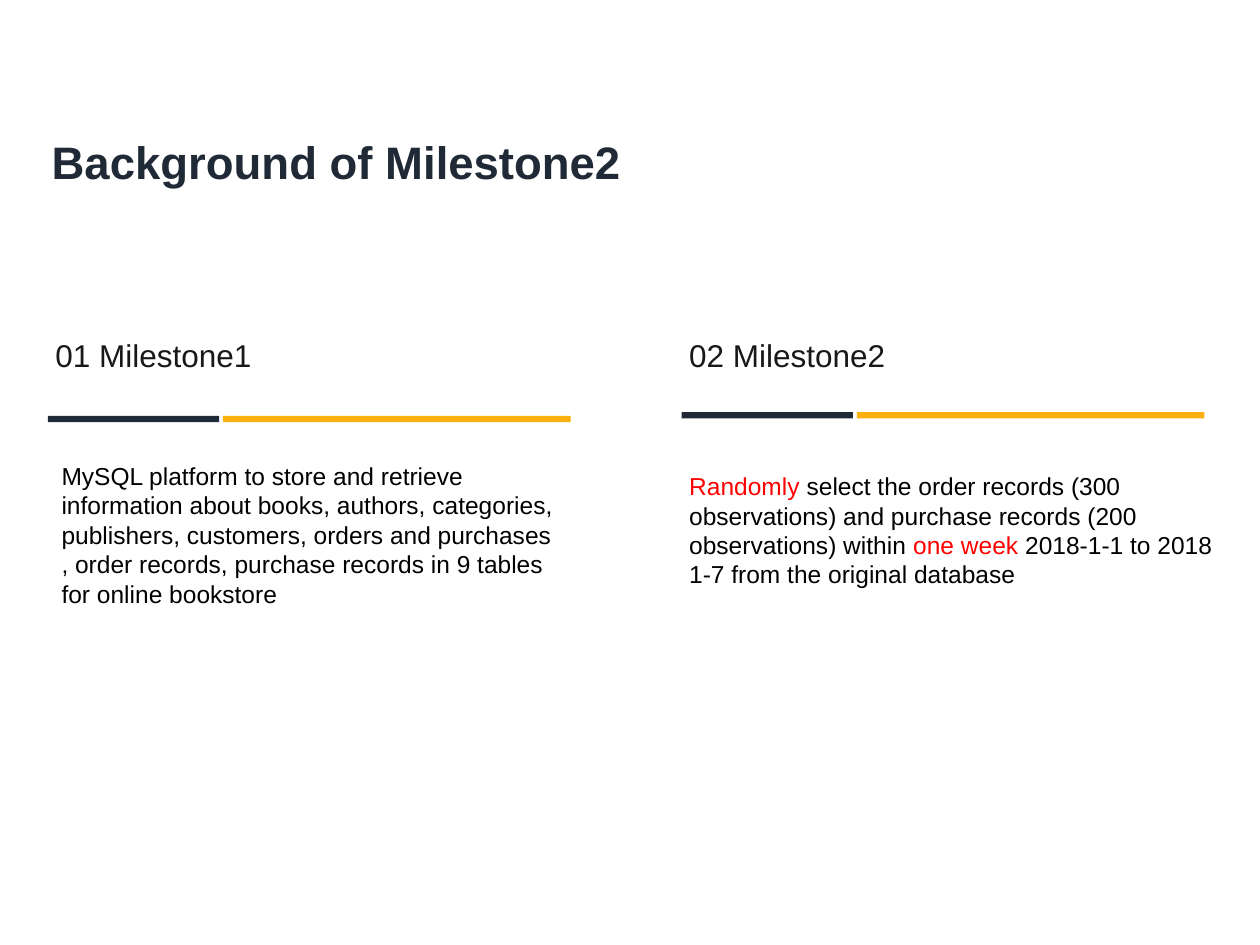
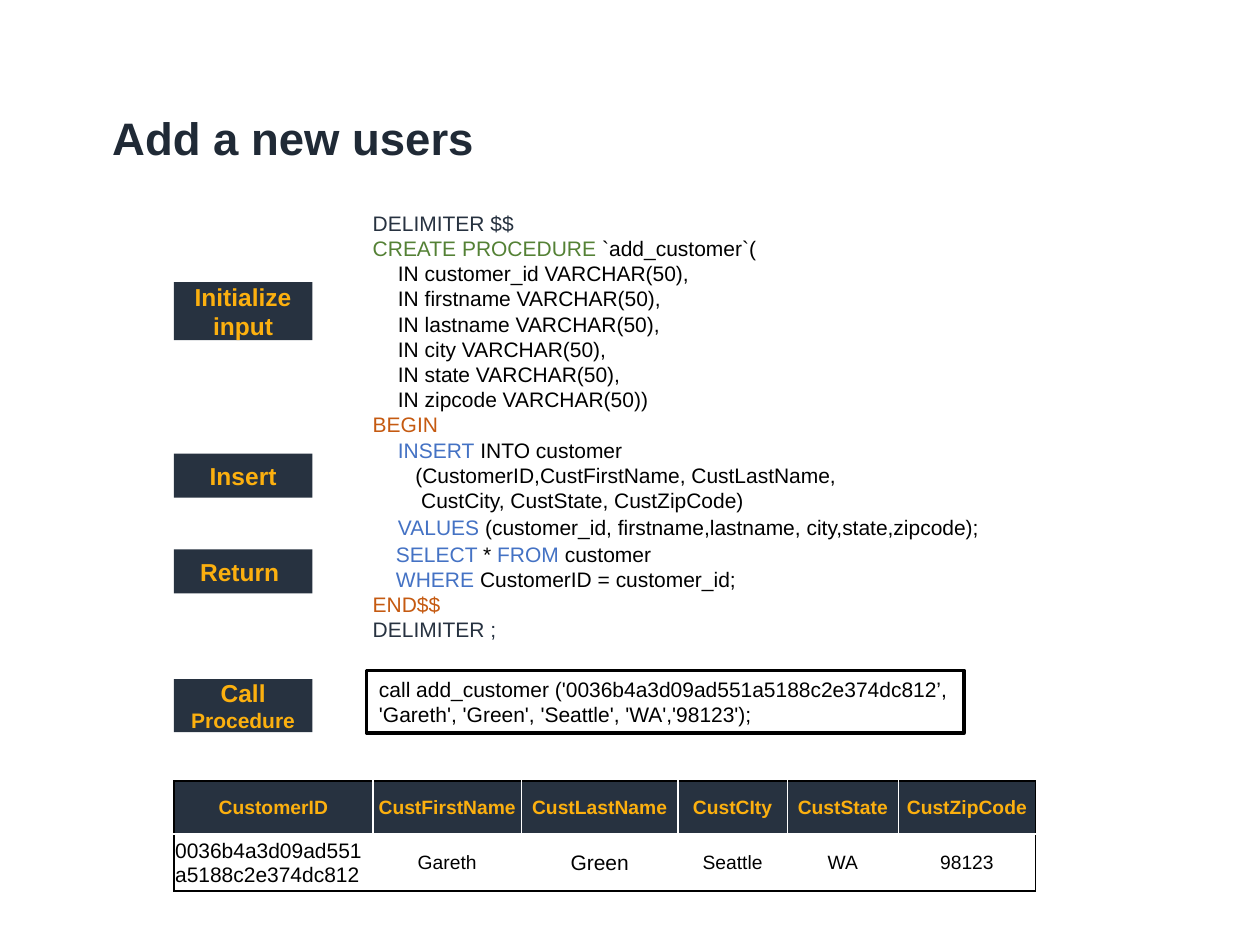
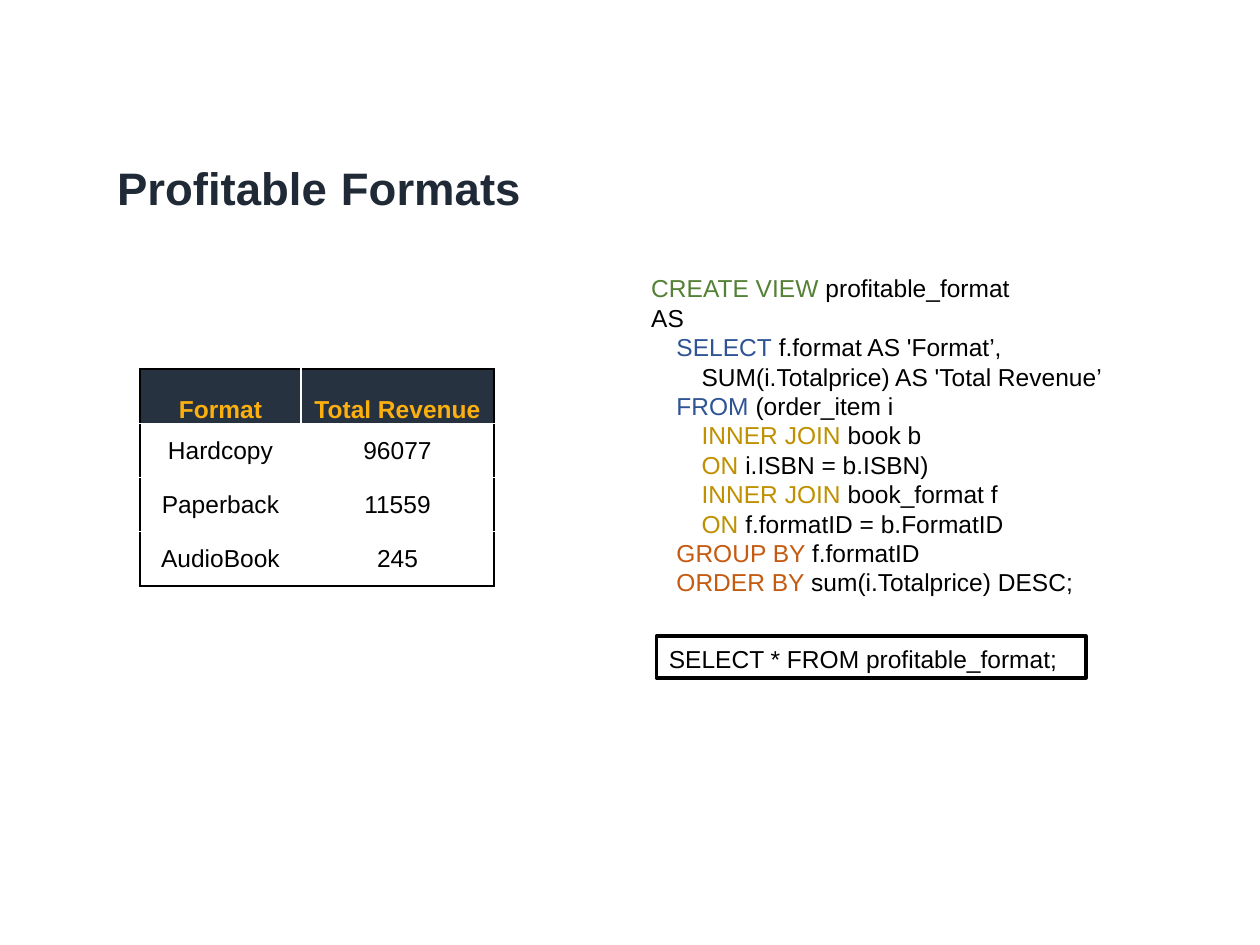
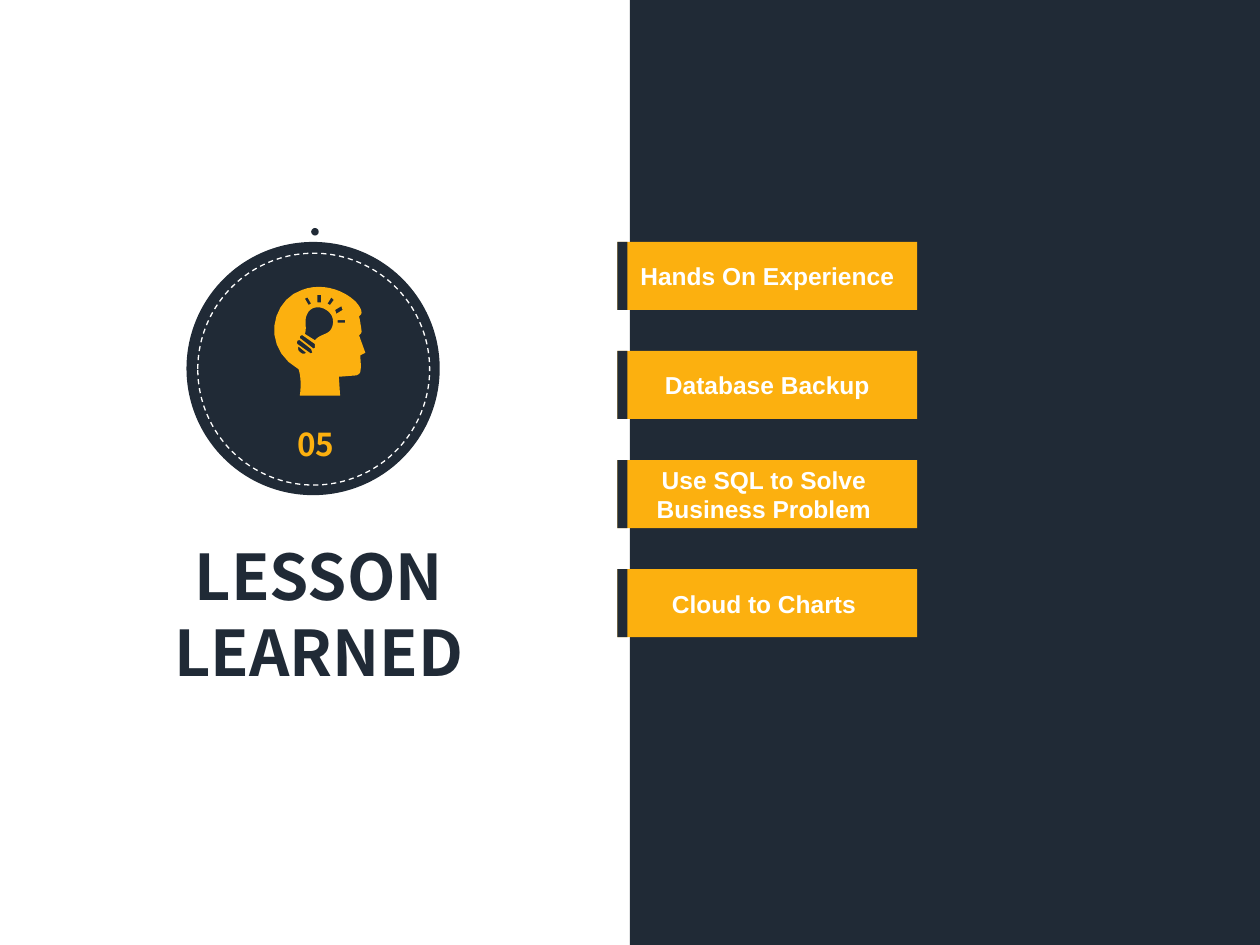
from dataclasses import dataclass
from typing import NamedTuple

from lxml import etree
from pptx import Presentation
from pptx.dml.color import RGBColor
from pptx.enum import dml, shapes, text
from pptx.oxml.ns import qn
from pptx.util import Inches, Pt

# Shared colours and fonts
NAVY = RGBColor(0x20, 0x2A, 0x36)
SLATE = RGBColor(0x27, 0x32, 0x40)
AMBER = RGBColor(0xFC, 0xB0, 0x0F)
INK = RGBColor(0x16, 0x18, 0x1A)
WHITE = RGBColor(0xFF, 0xFF, 0xFF)
BLACK = RGBColor(0x00, 0x00, 0x00)
RED = RGBColor(0xFF, 0x00, 0x00)
GREEN = RGBColor(0x54, 0x81, 0x35)
RUST = RGBColor(0xC5, 0x5A, 0x11)
BLUE = RGBColor(0x44, 0x72, 0xC4)
DEEP_BLUE = RGBColor(0x2F, 0x54, 0x96)
GOLD = RGBColor(0xBF, 0x90, 0x00)
SANS = "Arial"
DISPLAY = "Noto Sans CJK SC"

LEFT, CENTER = text.PP_ALIGN.LEFT, text.PP_ALIGN.CENTER
TOP, MIDDLE, BOTTOM = (text.MSO_ANCHOR.TOP, text.MSO_ANCHOR.MIDDLE,
                       text.MSO_ANCHOR.BOTTOM)
RECT, OVAL = shapes.MSO_SHAPE.RECTANGLE, shapes.MSO_SHAPE.OVAL


class Box(NamedTuple):
    left: float
    top: float
    width: float
    height: float


class Run(NamedTuple):
    text: str
    color: RGBColor = BLACK
    size: float | None = None


class Line(NamedTuple):
    runs: list[Run]
    indent: float = 0
    before: float = 0
    spacing: float | None = None


@dataclass
class Style:
    size: float
    font: str = SANS
    bold: bool = False
    align: text.PP_ALIGN = LEFT
    anchor: text.MSO_ANCHOR = TOP
    inset: tuple[float, float] = (0.1, 0.05)


TITLE = Style(26, bold=True, inset=(0.07, 0.04))
HEADING = Style(18, inset=(0.06, 0.03))
LABEL = Style(14, bold=True, align=CENTER, anchor=MIDDLE)
CODE_SMALL = Style(12)
BODY = Style(14)


def line(words: str, color: RGBColor = BLACK, **options) -> Line:
    return Line([Run(words, color)], **options)


def code(keyword: str, color: RGBColor, rest: str, **options) -> Line:
    """A line that opens with a coloured keyword."""
    return Line([Run(keyword, color), Run(rest)], **options)


def write(tf, lines: list[Line], style: Style) -> None:
    tf.word_wrap = True
    tf.vertical_anchor = style.anchor
    tf.margin_left = tf.margin_right = Inches(style.inset[0])
    tf.margin_top = tf.margin_bottom = Inches(style.inset[1])
    for i, item in enumerate(lines):
        p = tf.add_paragraph() if i else tf.paragraphs[0]
        p.alignment = style.align
        if item.indent:
            p._p.get_or_add_pPr().set("marL", str(Inches(item.indent)))
        if item.before:
            p.space_before = Pt(item.before)
        if item.spacing:
            p.line_spacing = item.spacing
        for run in item.runs:
            r = p.add_run()
            r.text = run.text
            r.font.name = style.font
            r.font.size = Pt(run.size or style.size)
            r.font.bold = style.bold
            r.font.color.rgb = run.color
            if style.font == DISPLAY:
                etree.SubElement(r._r.get_or_add_rPr(), qn("a:ea"),
                                 typeface=DISPLAY)


def add_text(s, box: Box, lines: list[Line], style: Style) -> None:
    tb = s.shapes.add_textbox(*map(Inches, box))
    write(tb.text_frame, lines, style)


def add_title(s, box: Box, *runs: Run) -> None:
    add_text(s, box, [Line(list(runs))], TITLE)


def add_block(s, box: Box, fill: RGBColor | None, lines: list[Line] = (),
              style: Style = LABEL, kind=RECT, border: RGBColor | None = None,
              weight: float = 2):
    sp = s.shapes.add_shape(kind, *map(Inches, box))
    sp.shadow.inherit = False
    if fill is None:
        sp.fill.background()
    else:
        sp.fill.solid()
        sp.fill.fore_color.rgb = fill
    if border is None:
        sp.line.fill.background()
    else:
        sp.line.color.rgb = border
        sp.line.width = Pt(weight)
    if lines:
        write(sp.text_frame, lines, style)
    return sp


def set_borders(cell, edges: dict[str, RGBColor]) -> None:
    """Draw the four cell borders, ahead of the fill as the schema asks."""
    tc_pr = cell._tc.get_or_add_tcPr()
    for i, (tag, color) in enumerate(edges.items()):
        ln = etree.Element(qn(f"a:{tag}"), w=str(Pt(1)))
        fill = etree.SubElement(ln, qn("a:solidFill"))
        etree.SubElement(fill, qn("a:srgbClr"), val=str(color))
        tc_pr.insert(i, ln)


def add_grid(s, left: float, top: float, widths: list[float],
             heights: list[float], rows: list[list[Line]], size: float,
             header_anchor=MIDDLE, first_align=CENTER) -> None:
    """A dark header over white rows; black outside edges, white inside."""
    tbl = s.shapes.add_table(
        len(rows), len(widths),
        *map(Inches, (left, top, sum(widths), sum(heights)))).table
    tbl.first_row = tbl.horz_banding = False
    for col, width in zip(tbl.columns, widths):
        col.width = Inches(width)
    for row, height in zip(tbl.rows, heights):
        row.height = Inches(height)
    last_r, last_c = len(rows) - 1, len(widths) - 1
    for i, row in enumerate(rows):
        for j, content in enumerate(row):
            cell = tbl.cell(i, j)
            head = i == 0
            align = first_align if j == 0 and not head else CENTER
            anchor = header_anchor if head else MIDDLE
            write(cell.text_frame, [content],
                  Style(size, bold=head, align=align))
            cell.vertical_anchor = anchor
            cell.margin_left = cell.margin_right = Inches(0.01)
            cell.margin_top, cell.margin_bottom = Inches(0.01), Inches(0)
            cell.fill.solid()
            cell.fill.fore_color.rgb = SLATE if head else WHITE
            outside = {"lnL": j == 0, "lnR": j == last_c,
                       "lnT": i == 0, "lnB": i == last_r}
            set_borders(cell, {tag: BLACK if edge else WHITE
                               for tag, edge in outside.items()})


# Slide 1: background
def background_slide(s) -> None:
    add_title(s, Box(0.34, 1.02, 6.44, 0.51),
              Run("Background of Milestone2", NAVY))
    for left, rule_top, heading in ((0.38, 3.3, "01 Milestone1"),
                                    (5.41, 3.27, "02 Milestone2")):
        add_text(s, Box(left, 2.64, 3.51, 0.36), [line(heading, INK)], HEADING)
        add_block(s, Box(left, rule_top, 1.36, 0.05), NAVY)
        add_block(s, Box(left + 1.39, rule_top, 2.76, 0.05), AMBER)
    add_text(s, Box(0.39, 3.61, 4.14, 1.28), [line(
        "MySQL platform to store and retrieve information about books, "
        "authors, categories, publishers, customers, orders and purchases "
        ", order records, purchase records in 9 tables for online bookstore",
    )], BODY)
    add_text(s, Box(5.41, 3.71, 4.29, 1), [Line([
        Run("Randomly ", RED),
        Run("select the order records (300 observations) and purchase "
            "records (200 observations) within "),
        Run("one week ", RED),
        Run("2018-1-1 to 2018 1-7 from the original database"),
    ])], Style(14, inset=(0.06, 0.03)))


# Slide 2: stored procedure
PARAMETERS = ["customer_id VARCHAR(50),", "firstname VARCHAR(50),",
              "lastname VARCHAR(50),", "city VARCHAR(50),",
              "state VARCHAR(50),", "zipcode VARCHAR(50))"]
PROCEDURE = [
    line("DELIMITER $$", SLATE),
    code("CREATE PROCEDURE ", GREEN, "`add_customer`("),
    *(line(f"IN {name}", indent=0.2) for name in PARAMETERS),
    line("BEGIN", RUST),
    code("INSERT", BLUE, " INTO customer", indent=0.2),
    line("   (CustomerID,CustFirstName, CustLastName,", indent=0.2),
    line("    CustCity, CustState, CustZipCode)", indent=0.2),
    code("VALUES", BLUE,
         " (customer_id, firstname,lastname, city,state,zipcode);",
         indent=0.2, before=1),
    Line([Run("    SELECT ", BLUE), Run("* "), Run("FROM", BLUE),
          Run(" customer")], before=1),
    code("    WHERE ", BLUE, "CustomerID = customer_id;"),
    line("END$$", RUST),
    line("DELIMITER ;", SLATE),
]
STEPS = [
    (2.24, 0.46, [Run("Initialize input", AMBER)]),
    (3.6, 0.35, [Run("Insert", AMBER)]),
    (4.36, 0.35, [Run("Return ", AMBER)]),
    (5.39, 0.42, [Run("Call ", AMBER), Run("Procedure", AMBER, 12)]),
]
CUSTOMER_HEADS = ["CustomerID", "CustFirstName", "CustLastName", "CustCIty",
                  "CustState", "CustZipCode"]
CUSTOMER = [Run("0036b4a3d09ad551a5188c2e374dc812", size=12), Run("Gareth"),
            Run("Green", size=12), Run("Seattle"), Run("WA"), Run("98123")]


def procedure_slide(s) -> None:
    add_title(s, Box(0.82, 0.83, 3.05, 0.51), Run("Add a new users", NAVY))
    add_grid(s, 1.38, 6.2, [1.58, 1.18, 1.24, 0.87, 0.88, 1.09], [0.42, 0.45],
             [[line(head, AMBER) for head in CUSTOMER_HEADS],
              [Line([run]) for run in CUSTOMER]], 11, first_align=LEFT)
    add_text(s, Box(2.86, 1.62, 5.85, 3.56), PROCEDURE, CODE_SMALL)
    for top, height, runs in STEPS:
        add_block(s, Box(1.38, top, 1.1, height), SLATE, [Line(runs)])
    add_block(s, Box(2.91, 5.32, 4.74, 0.5), WHITE,
              [line("call add_customer ('0036b4a3d09ad551a5188c2e374dc812’,"),
               line("'Gareth', 'Green', 'Seattle', 'WA','98123');")],
              CODE_SMALL, border=BLACK)


# Slide 3: view and its result
VIEW = [
    code("CREATE VIEW ", GREEN, "profitable_format"),
    line("AS"),
    code("SELECT", DEEP_BLUE, " f.format AS 'Format’,", indent=0.2),
    line("SUM(i.Totalprice) AS 'Total Revenue’", indent=0.4),
    code("FROM", DEEP_BLUE, " (order_item i", indent=0.2),
    code("INNER JOIN ", GOLD, "book b", indent=0.4),
    code("ON", GOLD, " i.ISBN = b.ISBN)", indent=0.4),
    code("INNER JOIN ", GOLD, "book_format f", indent=0.4),
    code("ON", GOLD, " f.formatID = b.FormatID", indent=0.4),
    code("GROUP BY ", RUST, "f.formatID", indent=0.2),
    code("ORDER BY ", RUST, "sum(i.Totalprice) DESC;", indent=0.2),
]
REVENUE = [("Hardcopy", "96077"), ("Paperback", "11559"), ("AudioBook", "245")]


def formats_slide(s) -> None:
    add_title(s, Box(0.86, 1.2, 3.71, 0.55), Run("Profitable", NAVY),
              Run(" ", NAVY, 28), Run("Formats", NAVY))
    add_text(s, Box(5.07, 2.12, 5.65, 2.93), VIEW, BODY)
    add_block(s, Box(5.21, 5.05, 3.41, 0.33), WHITE,
              [line("SELECT * FROM profitable_format;", spacing=1.07)],
              BODY, border=BLACK)
    heads = [line(head, AMBER) for head in ("Format", "Total Revenue")]
    add_grid(s, 1.11, 2.93, [1.28, 1.53], [0.43] * 4,
             [heads] + [[line(value) for value in row] for row in REVENUE],
             14, header_anchor=BOTTOM)


# Slide 4: lessons. Head contours in inches: pairs are corners, sixes curves
HEAD = [
    [(2.38, 3.14), (2.39, 3.07, 2.39, 2.99, 2.37, 2.93),
     (2.07, 2.76, 2.15, 2.38, 2.4, 2.3), (2.53, 2.25, 2.7, 2.28, 2.82, 2.39),
     (2.9, 2.48, 2.86, 2.5, 2.86, 2.5), (2.85, 2.51),
     (2.86, 2.55, 2.87, 2.62, 2.87, 2.63),
     (2.87, 2.65, 2.85, 2.66, 2.85, 2.66), (2.9, 2.8), (2.86, 2.82),
     (2.86, 2.86, 2.87, 2.9, 2.86, 2.95),
     (2.86, 2.96, 2.84, 2.98, 2.82, 2.98), (2.69, 2.99), (2.7, 3.14)],
    # Bulb
    [(2.59, 2.46), (2.53, 2.42, 2.46, 2.44, 2.44, 2.49),
     (2.41, 2.54, 2.44, 2.6, 2.42, 2.65), (2.5, 2.7),
     (2.54, 2.65, 2.6, 2.66, 2.63, 2.61),
     (2.66, 2.55, 2.64, 2.49, 2.59, 2.46)],
    # Bulb socket
    [(2.5, 2.73), (2.4, 2.66), (2.4, 2.66, 2.39, 2.66, 2.38, 2.67),
     (2.38, 2.67, 2.38, 2.69, 2.39, 2.69), (2.48, 2.76),
     (2.49, 2.77, 2.5, 2.76, 2.5, 2.76)],
    [(2.47, 2.77), (2.38, 2.7), (2.37, 2.7, 2.36, 2.7, 2.36, 2.71),
     (2.35, 2.72, 2.36, 2.72, 2.36, 2.73), (2.46, 2.8),
     (2.46, 2.81, 2.47, 2.8, 2.48, 2.8)],
    [(2.37, 2.75), (2.36, 2.77, 2.37, 2.79, 2.39, 2.8),
     (2.4, 2.81, 2.42, 2.81, 2.43, 2.8)],
    # Rays
    [(2.68, 2.56), (2.74, 2.56), (2.74, 2.54), (2.68, 2.54)],
    [(2.47, 2.41), (2.44, 2.36), (2.42, 2.37), (2.45, 2.42)],
    [(2.55, 2.4), (2.55, 2.34), (2.52, 2.34), (2.52, 2.4)],
    [(2.67, 2.49), (2.72, 2.46), (2.71, 2.43), (2.66, 2.46)],
    [(2.62, 2.42), (2.65, 2.38), (2.63, 2.36), (2.6, 2.41)],
]


def flatten(contour: list[tuple], steps: int = 10) -> list[tuple[int, int]]:
    """Turn corners and cubic curves into points in EMU."""
    points = [contour[0]]
    for part in contour[1:]:
        if len(part) == 2:
            points.append(part)
            continue
        a, b, c, d = points[-1], part[:2], part[2:4], part[4:]
        for k in range(1, steps + 1):
            t = k / steps
            v = 1 - t
            points.append(tuple(
                v**3 * a[n] + 3 * v * v * t * b[n]
                + 3 * v * t * t * c[n] + t**3 * d[n] for n in (0, 1)))
    return [(Inches(x), Inches(y)) for x, y in points]


def add_head(s) -> None:
    first, *holes = map(flatten, HEAD)
    fb = s.shapes.build_freeform(*first[0])
    fb.add_line_segments(first[1:], close=True)
    for hole in holes:
        fb.move_to(*hole[0])
        fb.add_line_segments(hole[1:], close=True)
    sp = fb.convert_to_shape()
    sp.shadow.inherit = False
    sp.fill.solid()
    sp.fill.fore_color.rgb = AMBER
    sp.line.fill.background()


LESSONS = [["Hands On Experience"], ["Database Backup"],
           ["Use SQL to Solve ", "Business Problem "], ["Cloud to Charts "]]


def lessons_slide(s) -> None:
    add_block(s, Box(5, 0, 5, 7.5), NAVY)
    # Badge
    add_block(s, Box(1.48, 1.92, 2.01, 2.01), NAVY, kind=OVAL)
    add_block(s, Box(2.47, 1.81, 0.06, 0.06), NAVY, kind=OVAL)
    ring = add_block(s, Box(1.57, 2.01, 1.84, 1.84), None, kind=OVAL,
                     border=WHITE, weight=0.75)
    ring.line.dash_style = dml.MSO_LINE.DASH
    add_head(s)
    add_text(s, Box(1.53, 3.33, 1.95, 0.39), [line("05", AMBER)],
             Style(18, DISPLAY, True, CENTER, MIDDLE, (0.07, 0.04)))
    add_text(s, Box(0.36, 4.22, 4.34, 0.71), [line("LESSON LEARNED", NAVY)],
             Style(36, DISPLAY, True, CENTER))
    # Lesson bars
    for i, lesson in enumerate(LESSONS):
        top = 1.92 + i * 0.866
        add_block(s, Box(4.9, top, 2.38, 0.54), AMBER,
                  [line(words, WHITE) for words in lesson])
        add_block(s, Box(4.9, top, 0.08, 0.54), NAVY)


def main() -> None:
    prs = Presentation()
    prs.slide_width, prs.slide_height = Inches(10), Inches(7.5)
    for build in (background_slide, procedure_slide, formats_slide,
                  lessons_slide):
        build(prs.slides.add_slide(prs.slide_layouts[6]))
    prs.save("out.pptx")


if __name__ == "__main__":
    main()
